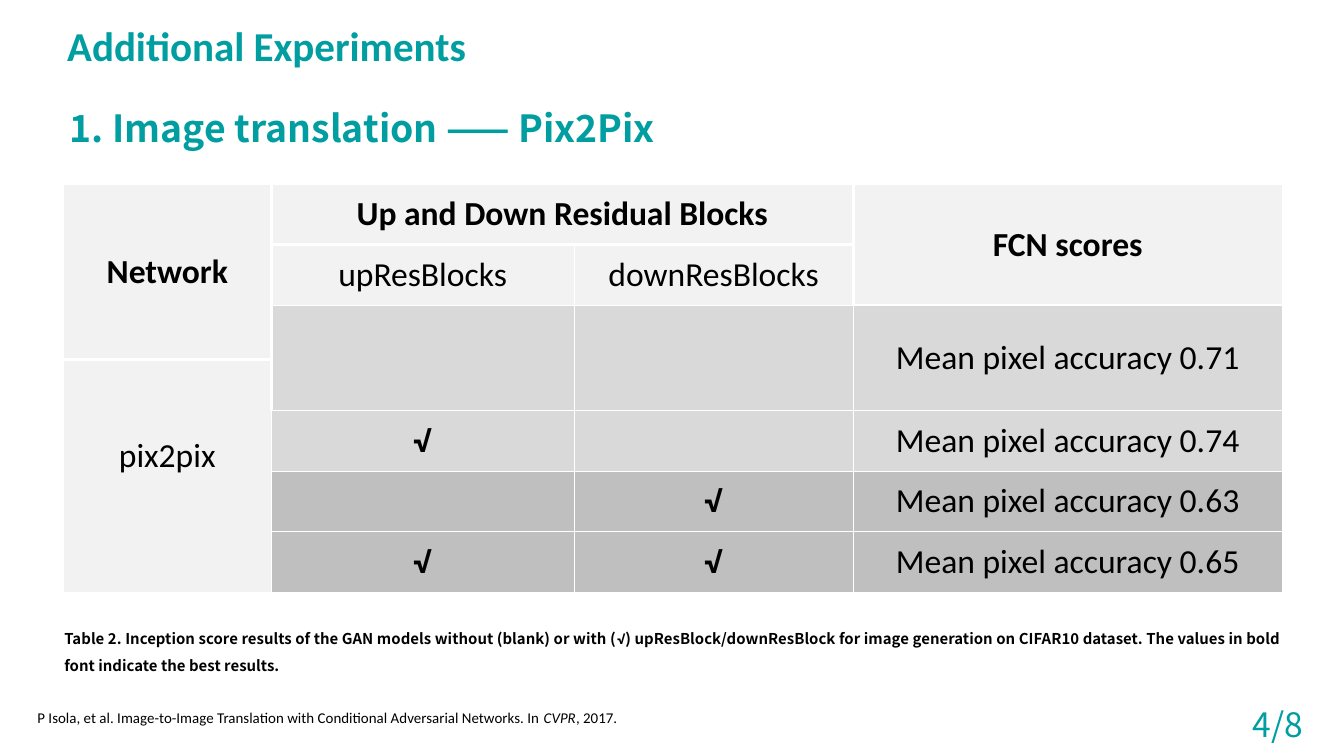
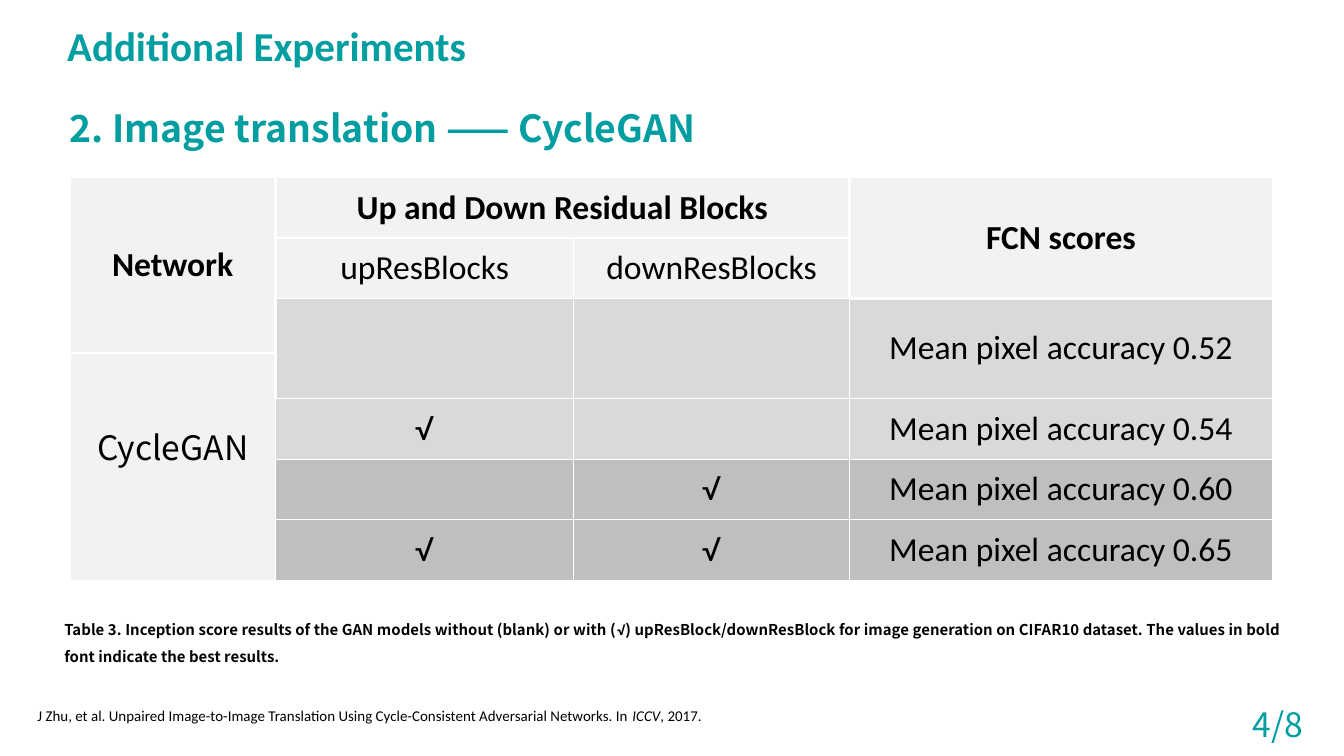
from lxml.etree import SubElement
from pptx import Presentation
from pptx.dml.color import RGBColor
from pptx.enum.text import MSO_ANCHOR, MSO_AUTO_SIZE, PP_ALIGN
from pptx.oxml.ns import qn
from pptx.util import Inches, Pt

TEAL, BLACK = RGBColor(0x00, 0x9E, 0xA1), RGBColor(0, 0, 0)
SANS, BODY, SYMBOL = "Noto Sans CJK SC", "Calibri", "Roboto"
THEME = {
    "title": {"name": BODY, "size": Pt(22), "color": TEAL, "bold": True},
    "heading": {"name": SANS, "size": Pt(20), "color": TEAL, "bold": True},
    "page": {"name": SANS, "size": Pt(18), "color": TEAL, "bold": False},
    "cell": {"name": BODY, "size": Pt(18), "color": BLACK, "bold": False},
    "caption": {"name": SANS, "size": Pt(8), "color": BLACK, "bold": True},
    "reference": {"name": BODY, "size": Pt(8), "color": BLACK, "bold": False},
    "header_fill": RGBColor(0xF2, 0xF2, 0xF2),
    "light_fill": RGBColor(0xD9, 0xD9, 0xD9),
    "dark_fill": RGBColor(0xBF, 0xBF, 0xBF),
    "border": "FFFFFF",
    "thin": Pt(0.45),
    "thick": Pt(1.47),
}
PAGE = "4/8"
CHECK = "√"

EXPERIMENTS = [
    {
        "heading": "1. Image translation —— Pix2Pix",
        "network": "pix2pix", "network_format": {}, "check_bold": True,
        "scores": ["0.71", "0.74", "0.63", "0.65"],
        "table_at": (0.47, 1.37), "columns": [1.55, 2.25, 2.08, 3.19], "baseline_row": 0.38,
        "caption": "Table 2", "caption_top": 4.57,
        "reference": "P Isola, et al. Image-to-Image Translation with Conditional Adversarial Networks. In ",
        "venue": "CVPR", "reference_top": 5.22,
    },
    {
        "heading": "2. Image translation —— CycleGAN",
        "network": "CycleGAN", "network_format": {"name": SANS}, "check_bold": False,
        "scores": ["0.52", "0.54", "0.60", "0.65"],
        "table_at": (0.52, 1.32), "columns": [1.53, 2.22, 2.05, 3.15], "baseline_row": 0.34,
        "caption": "Table 3", "caption_top": 4.5,
        "reference": "J Zhu, et al. Unpaired Image-to-Image Translation Using Cycle-Consistent Adversarial Networks. In ",
        "venue": "ICCV", "reference_top": 5.21,
    },
]

# First and last cell of each merged block, as (row, column).
MERGES = [((0, 0), (2, 0)), ((0, 1), (0, 2)), ((0, 3), (1, 3)), ((2, 1), (3, 1)),
          ((2, 2), (3, 2)), ((2, 3), (3, 3)), ((3, 0), (6, 0))]
THICK_EDGES = {(0, 0): "RB", (0, 1): "B", (0, 3): "LB", (1, 1): "LT", (1, 2): "TR",
               (2, 3): "T", (3, 0): "T"}
# Row of each score, with the columns that carry a check mark.
SCORE_ROWS = [(2, []), (4, [1]), (5, [2]), (6, [1, 2])]


def write_runs(paragraph, style, *parts):
    """Add (text, changed format values) parts as runs in one of the theme's styles."""
    for text, changes in parts:
        run = paragraph.add_run()
        run.text = text
        for name, value in {**THEME[style], **changes}.items():
            if name == "color":
                run.font.color.rgb = value
            else:
                setattr(run.font, name, value)
        east_asian = SubElement(run.font._element, qn("a:ea"))
        east_asian.set("typeface", run.font.name)


def add_text(slide, box, style, *parts, wrap=True, justified=False):
    shape = slide.shapes.title if style == "title" else slide.shapes.add_textbox(0, 0, 0, 0)
    for name, value in zip(("left", "top", "width", "height"), box):
        setattr(shape, name, Inches(value))
    frame = shape.text_frame
    frame.word_wrap = wrap
    frame.auto_size = MSO_AUTO_SIZE.NONE
    frame.vertical_anchor = MSO_ANCHOR.TOP
    paragraph = frame.paragraphs[0]
    paragraph.alignment = PP_ALIGN.LEFT
    if justified:
        paragraph.alignment = PP_ALIGN.JUSTIFY
        paragraph.line_spacing = 1.5
        paragraph.space_after = Pt(12)
    write_runs(paragraph, style, *parts)


presentation = Presentation()
presentation.slide_width = Inches(10)
presentation.slide_height = presentation.slide_width * 9 // 16
title_only = presentation.slide_layouts[5]

for experiment in EXPERIMENTS:
    slide = presentation.slides.add_slide(title_only)
    add_text(slide, (0.42, 0.57, 9.25, 0.6), "heading", (experiment["heading"], {}), justified=True)
    add_text(slide, (0.4, 0.1, 3.17, 0.47), "title", ("Additional Experiments", {}), wrap=False)
    add_text(slide, (9.22, 5.19, 0.65, 0.4), "page", (PAGE, {}), wrap=False)

    columns = experiment["columns"]
    rows = [0.45, 0.45, 0.4, experiment["baseline_row"], 0.45, 0.45, 0.45]
    left, top = experiment["table_at"]
    table = slide.shapes.add_table(len(rows), len(columns), Inches(left), Inches(top),
                                   Inches(sum(columns)), Inches(sum(rows))).table
    table.first_row = table.horz_banding = False
    for column, width in zip(table.columns, columns):
        column.width = Inches(width)
    for row, height in zip(table.rows, rows):
        row.height = Inches(height)

    for row in range(len(rows)):
        for column in range(len(columns)):
            cell = table.cell(row, column)
            cell.vertical_anchor = MSO_ANCHOR.MIDDLE
            for side in "LRTB":
                weight = "thick" if side in THICK_EDGES.get((row, column), "") else "thin"
                line = SubElement(cell._tc.get_or_add_tcPr(), qn(f"a:ln{side}"), w=str(THEME[weight]))
                SubElement(SubElement(line, qn("a:solidFill")), qn("a:srgbClr"), val=THEME["border"])
            if column == 0 or row < 2:
                fill = "header_fill"
            else:
                fill = "light_fill" if row < 5 else "dark_fill"
            cell.fill.solid()
            cell.fill.fore_color.rgb = THEME[fill]
    for first, last in MERGES:
        table.cell(*first).merge(table.cell(*last))

    bold = {"bold": True}
    entries = {
        (0, 0): ("Network", bold),
        (0, 1): ("Up and Down Residual Blocks", bold),
        (0, 3): ("FCN scores", bold),
        (1, 1): ("upResBlocks", {}),
        (1, 2): ("downResBlocks", {}),
        (3, 0): (experiment["network"], experiment["network_format"]),
    }
    for (row, checked), score in zip(SCORE_ROWS, experiment["scores"]):
        entries[row, 3] = (f"Mean pixel accuracy {score}", {})
        for column in checked:
            entries[row, column] = (CHECK, {"name": SYMBOL, "bold": experiment["check_bold"]})
    for position, part in entries.items():
        paragraph = table.cell(*position).text_frame.paragraphs[0]
        paragraph.alignment = PP_ALIGN.CENTER
        write_runs(paragraph, "cell", part)
    table.cell(3, 0).margin_bottom = Inches(0.35)

    add_text(slide, (0.38, experiment["caption_top"], 9.25, 0.5), "caption",
             (f"{experiment['caption']}. Inception score results of the GAN models "
              "without (blank) or with (", {}),
             (CHECK, {"name": SYMBOL}),
             (") upResBlock/downResBlock for image generation on CIFAR10 dataset. "
              "The values in bold font indicate the best results.", {}),
             justified=True)
    add_text(slide, (0.18, experiment["reference_top"], 9.09, 0.24), "reference",
             (experiment["reference"], {}), (experiment["venue"], {"italic": True}), (", 2017.", {}))

presentation.save("out.pptx")
